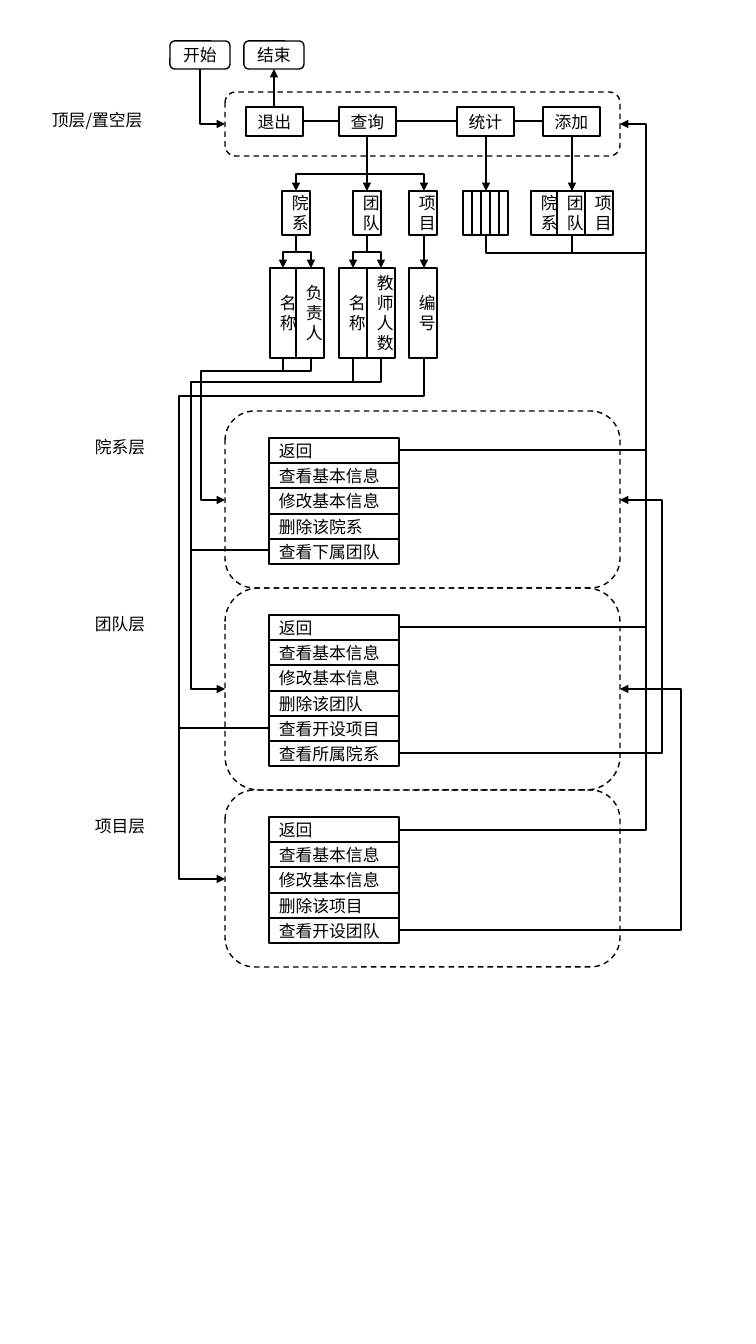
from dataclasses import dataclass
from lxml.etree import SubElement
from pptx import Presentation
from pptx.dml.color import RGBColor as Rgb
from pptx.enum.dml import MSO_LINE as Dash
from pptx.enum.shapes import MSO_CONNECTOR as Link, MSO_SHAPE as Form
from pptx.enum.text import MSO_ANCHOR as Anchor, PP_ALIGN as Align
from pptx.oxml.ns import qn
from pptx.util import Pt


@dataclass(frozen=True)
class Theme:
    ink: Rgb = Rgb(0, 0, 0)
    paper: Rgb = Rgb(255, 255, 255)
    font: str = "Noto Sans CJK SC"
    size: Pt = Pt(12)
    pitch: Pt = Pt(14.4)
    rule: Pt = Pt(1)


THEME = Theme()
SCALE = 914400 / 100.8
# Frame edges, trunk line and menu column
LEFT, RIGHT, TRUNK = 225, 620, 646
MENU, WIDE = 269, 130


def px(num):
    return round(num * SCALE)


def write(shape, text, align=Align.CENTER, anchor=Anchor.MIDDLE):
    frame = shape.text_frame
    frame.word_wrap = True
    frame.vertical_anchor = anchor
    para = frame.paragraphs[0]
    para.alignment = align
    para.line_spacing = THEME.pitch
    run = para.add_run()
    run.text = text
    run.font.size = THEME.size
    run.font.name = THEME.font
    run.font.color.rgb = THEME.ink
    SubElement(run.font._element, qn("a:ea"), typeface=THEME.font)


def stroke(item):
    item.line.color.rgb = THEME.ink
    item.line.width = THEME.rule


def box(slide, x, y, w, h, text="", form=Form.RECTANGLE, **fmt):
    shape = slide.shapes.add_shape(form, px(x), px(y), px(w), px(h))
    shape.shadow.inherit = False
    shape.fill.solid()
    shape.fill.fore_color.rgb = THEME.paper
    stroke(shape)
    if text:
        write(shape, text, **fmt)
    return shape


def layer(slide, y, h):
    shape = box(slide, LEFT, y, RIGHT - LEFT, h, form=Form.ROUNDED_RECTANGLE)
    shape.fill.background()
    shape.line.dash_style = Dash.DASH


def label(slide, x, y, w, text):
    note = slide.shapes.add_textbox(px(x), px(y), px(w), px(30))
    write(note, text, align=Align.LEFT, anchor=Anchor.TOP)


def bend(wire, pts):
    """Shape an elbow so that it runs through all the points."""
    (ax, ay), (bx, by) = pts[0], pts[-1]
    turn = pts[1][0] == ax
    # Local axes: a quarter turn maps down to u and left to v
    local = [(y, -x) if turn else (x, y) for x, y in pts]
    u, v = local[0]
    du, dv = local[-1][0] - u, local[-1][1] - v
    wide, high = abs(du), abs(dv)
    wire.left, wire.top = px((ax + bx - wide) / 2), px((ay + by - high) / 2)
    wire.width, wire.height = px(wide), px(high)
    prop = wire._element.spPr
    form = prop.find(qn("a:xfrm"))
    form.set("rot", "5400000" if turn else "0")
    form.set("flipH", str(int(du < 0)))
    form.set("flipV", str(int(dv < 0)))
    geom = prop.find(qn("a:prstGeom"))
    geom.set("prst", f"bentConnector{len(pts) - 1}")
    ratios = [(local[1][0] - u) / du, (local[2][1] - v) / dv]
    guides = geom.find(qn("a:avLst"))
    for num, ratio in enumerate(ratios[:len(pts) - 3], 1):
        name = f"adj{num}"
        SubElement(guides, qn("a:gd"), name=name,
                   fmla=f"val {round(ratio * 100000)}")


def wire(slide, *pts, tip=False):
    kind = Link.STRAIGHT if len(pts) == 2 else Link.ELBOW
    ends = [px(num) for pt in (pts[0], pts[-1]) for num in pt]
    line = slide.shapes.add_connector(kind, *ends)
    if len(pts) > 2:
        bend(line, pts)
    stroke(line)
    if tip:
        SubElement(line.line._get_or_add_ln(), qn("a:tailEnd"), type="triangle")
    SubElement(line._element.spPr, qn("a:effectLst"))


def fork(slide, x, y, mid, end, goals):
    for goal in goals:
        pts = [(x, y), (goal, end)]
        if goal != x:
            pts[1:1] = [(x, mid), (goal, mid)]
        wire(slide, *pts, tip=True)


def top(slide):
    layer(slide, 92, 64)
    for x, text in ((170, "开始"), (244, "结束")):
        box(slide, x, 41, 60, 28, text, form=Form.ROUNDED_RECTANGLE)
    for x, text in ((246, "退出"), (339, "查询"), (457, "统计"), (543, "添加")):
        box(slide, x, 107, 57, 29, text)
    for start, end in ((303, 339), (396, 457), (514, 543)):
        wire(slide, (start, 121), (end, 121))
    wire(slide, (200, 69), (200, 124), (LEFT, 124), tip=True)
    wire(slide, (274, 107), (274, 69), tip=True)


def search(slide):
    # Targets of the query and of the add command
    for x, text in ((282, "院系"), (353, "团队"), (409, "项目"),
                    (531, "院系"), (557, "团队"), (585, "项目")):
        box(slide, x, 191, 28, 44, text)
    for num in range(5):
        box(slide, 463 + 9 * num, 191, 9, 44)
    # Search fields
    for x, text in ((270, "名称"), (296, "负责人"), (339, "名称"),
                    (367, "教师人数"), (409, "编号")):
        box(slide, x, 268, 28, 90, text)
    fork(slide, 367, 136, 174, 191, (296, 367, 424))
    fork(slide, 296, 235, 252, 268, (283, 311))
    fork(slide, 367, 235, 252, 268, (353, 381))
    fork(slide, 424, 235, 252, 268, (424,))
    for x in (486, 572):
        fork(slide, x, 136, 174, 191, (x,))
    wire(slide, (486, 235), (486, 253), (TRUNK, 253))
    wire(slide, (572, 253), (572, 235))


def menu(slide, y, rows):
    marks = [y + round(num * 25.2) for num in range(len(rows) + 1)]
    for start, end, text in zip(marks, marks[1:], rows):
        box(slide, MENU, start, WIDE, end - start, text, align=Align.LEFT)


def routes(slide):
    # From the search fields down to each layer
    for x, y, rail, goal in ((283, 371, 201, 500), (353, 382, 191, 689),
                             (424, 396, 179, 879)):
        wire(slide, (x, 358), (x, y), (rail, y), (rail, goal), (LEFT, goal),
             tip=True)
    for x, y, end in ((311, 371, 269), (381, 382, 334)):
        wire(slide, (x, 358), (x, y), (end, y))
    for y, rail in ((550, 191), (728, 179)):
        wire(slide, (MENU, y), (rail, y))
    # Back up to a higher layer
    edge = MENU + WIDE
    for y, rail, goal in ((450, TRUNK, 124), (753, 662, 500), (930, 681, 689)):
        wire(slide, (edge, y), (rail, y), (rail, goal), (RIGHT, goal), tip=True)
    for start, y in ((158, 627), (362, 830)):
        wire(slide, (TRUNK, start), (TRUNK, y), (edge, y))


def main():
    deck = Presentation()
    deck.slide_width, deck.slide_height = px(756), px(1344)
    slide = deck.slides.add_slide(deck.slide_layouts[6])

    # Top layer and search tree
    top(slide)
    search(slide)
    label(slide, 42, 105, 114, "顶层/置空层")

    # Lower layers with their menus
    for y, high, name, last in (
            (411, 177, "院系", ["查看下属团队"]),
            (588, 202, "团队", ["查看开设项目", "查看所属院系"]),
            (790, 177, "项目", ["查看开设团队"])):
        menu(slide, y + 27, ["返回", "查看基本信息", "修改基本信息",
                             f"删除该{name}", *last])
        layer(slide, y, high)
        label(slide, 85, y + 21, 72, f"{name}层")

    # Paths between the layers
    routes(slide)
    deck.save("out.pptx")


main()
